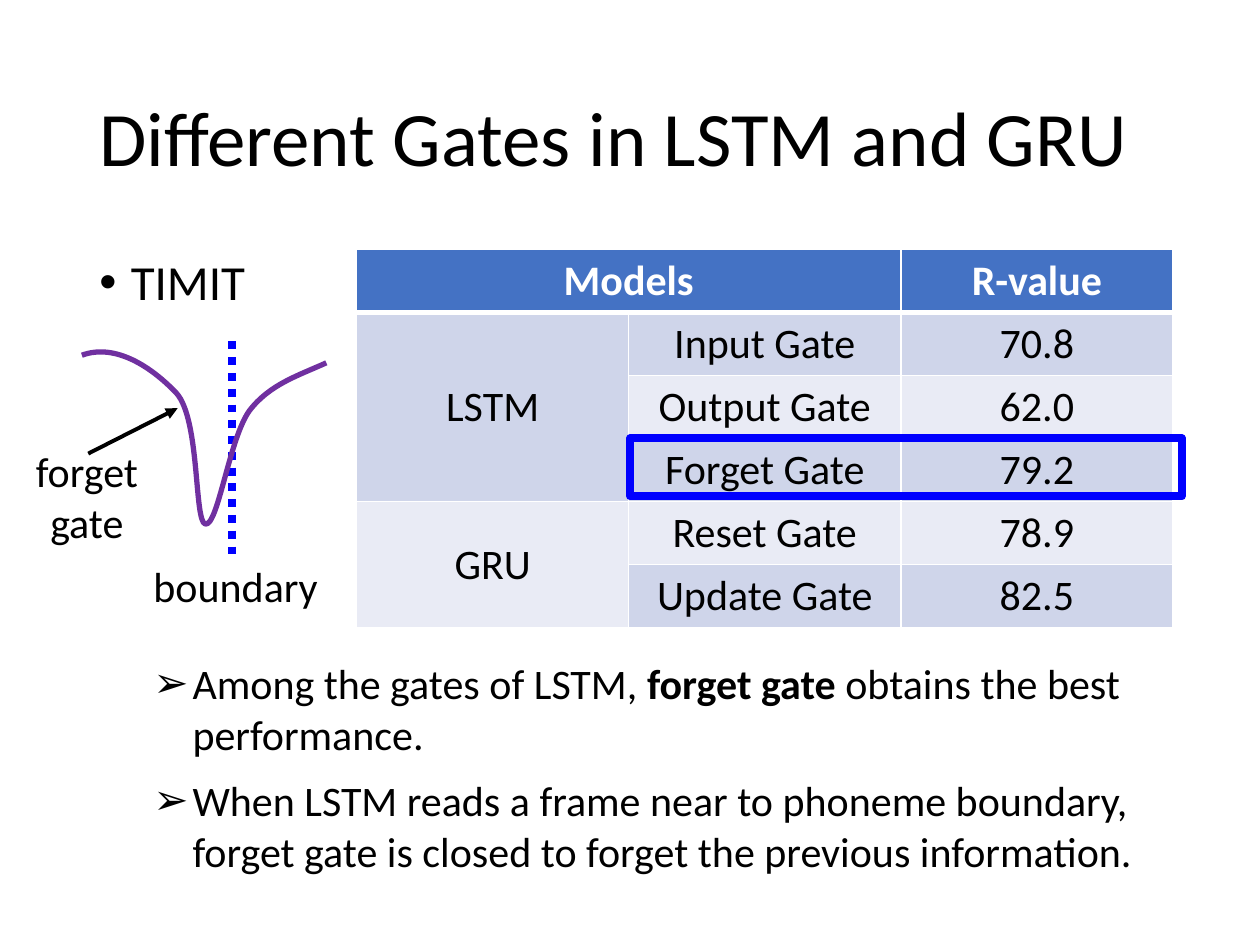
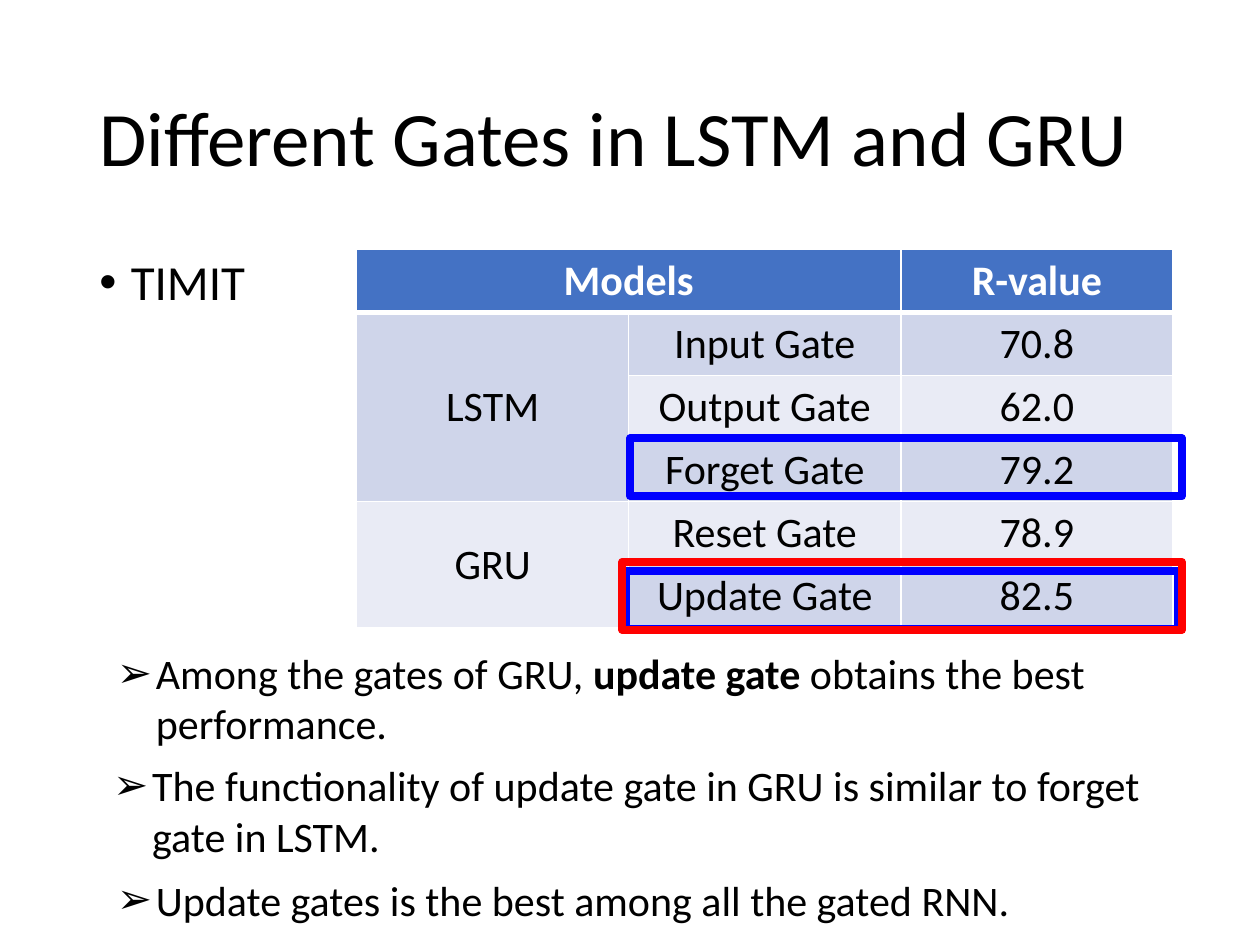
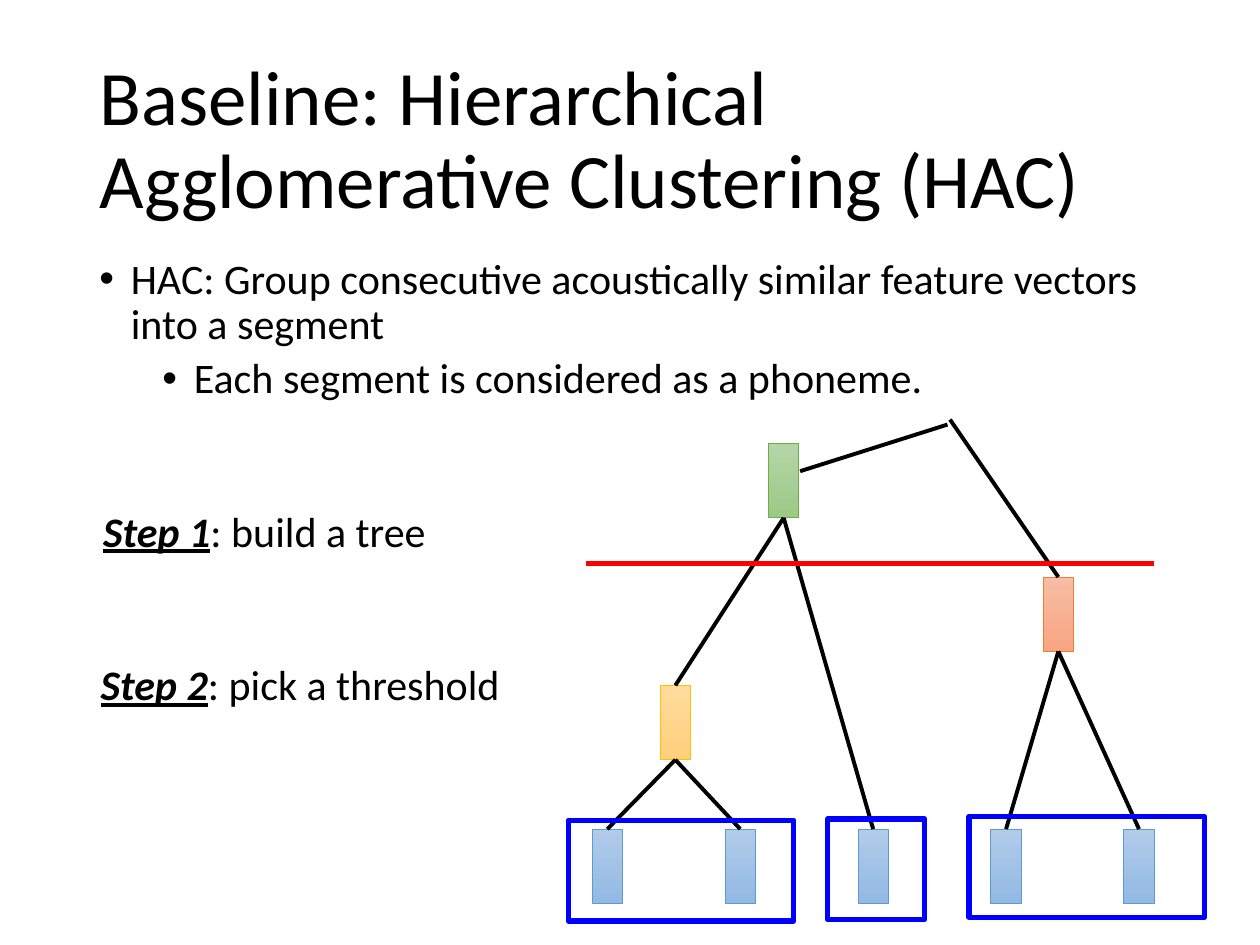
from lxml.etree import SubElement
from pptx import Presentation
from pptx.dml.color import RGBColor
from pptx.enum.dml import MSO_LINE
from pptx.enum.shapes import MSO_CONNECTOR, MSO_SHAPE
from pptx.enum.text import MSO_ANCHOR, MSO_AUTO_SIZE, PP_ALIGN
from pptx.oxml.ns import qn
from pptx.util import Inches, Pt

FONT = "Calibri"
HEX = {
    "black": "000000", "white": "FFFFFF", "blue": "0000FF", "red": "FF0000",
    "purple": "7030A0", "head": "4472C4", "dark": "CFD5EA", "light": "E9EBF5",
}
# node colour: gradient top, gradient bottom, outline
TINTS = {
    "sky": ("B1CBE9", "93B9E4", "5B9BD5"),
    "amber": ("FFDB9E", "FFD07C", "FFC000"),
    "coral": ("F7BDA5", "F8A582", "ED7D31"),
    "green": ("B5D5A7", "9CC987", "70AD47"),
}
BOLD = {"bold": True}
STEP = {"bold": True, "italic": True, "underline": True}
ARROW, DOT = "➢", "•"

TITLE_BOX = (0.69, 0.4, 8.62, 1.45)
BODY_BOX = (0.69, 2, 8.62, 4.76)
GATE_TITLE = "Different Gates in LSTM and GRU"
HAC_TITLE = "Baseline: Hierarchical Agglomerative Clustering (HAC)"

TABLE_BOX = (2.83, 1.98, 6.48, 3)
GATES = [
    ("Models", "", "R-value"),
    ("LSTM", "Input Gate", "70.8"),
    ("", "Output Gate", "62.0"),
    ("", "Forget Gate", "79.2"),
    ("GRU", "Reset Gate", "78.9"),
    ("", "Update Gate", "82.5"),
]
MERGES = [((0, 0), (0, 1)), ((1, 0), (3, 0)), ((4, 0), (5, 0))]

FORGET_BOX = (5, 3.48, 4.38, 0.46)
UPDATE_BOXES = [("blue", (4.97, 4.53, 4.38, 0.46)), ("red", (4.94, 4.46, 4.44, 0.54))]
LSTM_NOTES = [
    ((1.12, 5.17, 8.54, 0.91), ["Among the gates of LSTM, ", ("forget gate ", BOLD),
                                "obtains the best performance."]),
    ((1.12, 6.1, 8.54, 0.91), ["When LSTM reads a frame near to phoneme boundary, "
                               "forget gate is closed to forget the previous information."]),
]
GRU_NOTES = [
    ((0.83, 5.09, 8.54, 0.91), ["Among the gates of GRU, ", ("update gate ", BOLD),
                                "obtains the best performance."]),
    ((0.8, 5.98, 8.54, 0.91), ["The functionality of update gate in GRU is similar "
                               "to forget gate in LSTM."]),
    ((0.83, 6.89, 8.54, 0.5), ["Update gates is the best among all the gated RNN."]),
]
# start point, then two control points and an end point for each bend
CURVE = [
    (0.65, 2.82),
    (0.92, 2.72), (1.21, 2.92), (1.4, 3.12),
    (1.59, 3.33), (1.54, 4.14), (1.63, 4.16),
    (1.73, 4.18), (1.82, 3.48), (1.98, 3.26),
    (2.14, 3.05), (2.37, 2.98), (2.59, 2.88),
]

HAC_TEXT = ["HAC: Group consecutive acoustically similar feature vectors into a segment",
            "Each segment is considered as a phoneme."]
STEPS = [
    ((0.72, 3.96, 3.08, 0.5), [("Step 1", STEP), ": build a tree"]),
    ((0.7, 5.18, 3.71, 0.5), [("Step 2", STEP), ": pick a threshold"]),
]
NODE_W, NODE_H = 0.24, 0.59
LEAF_X, LEAF_Y, LEAF_GAP, LEAVES = 4.7, 6.58, 1.055, 5
NODES = {"amber": (5.24, 5.44), "coral": (8.28, 4.58), "green": (6.1, 3.52)}
LINKS = [(0, "amber"), (1, "amber"), (4, "coral"), (3, "coral"),
         (2, "green"), ("amber", "green")]
SEGMENTS = [(4.51, 6.51, 1.79, 0.8), (7.69, 6.48, 1.87, 0.8), (6.57, 6.5, 0.77, 0.8)]


def rgb(name):
    return RGBColor.from_string(HEX.get(name, name))


def emu(vals):
    return [Inches(v) for v in vals]


def style(font, size, color="black", **more):
    for key, val in {"name": FONT, "size": Pt(size), **more}.items():
        setattr(font, key, val)
    font.color.rgb = rgb(color)


def write(para, runs, size=24, color="black", **more):
    """Add runs, each a string or a (string, format) pair."""
    for part in runs:
        text, extra = (part, {}) if isinstance(part, str) else part
        run = para.add_run()
        run.text = text
        style(run.font, size, color, **more, **extra)


def bullet(para, char, left, hang):
    props = para._p.get_or_add_pPr()
    props.set("marL", str(Inches(left)))
    props.set("indent", str(-Inches(hang)))
    SubElement(props, qn("a:buFont")).set("typeface", "Arial")
    SubElement(props, qn("a:buChar")).set("char", char)


def label(slide, box, lines, align=None, char=None):
    frame = slide.shapes.add_textbox(*emu(box)).text_frame
    frame.word_wrap = True
    frame.auto_size = MSO_AUTO_SIZE.SHAPE_TO_FIT_TEXT
    for i, runs in enumerate(lines):
        para = frame.add_paragraph() if i else frame.paragraphs[0]
        para.alignment = align
        if char:
            bullet(para, char, 0.31, 0.31)
        write(para, runs)


def body(slide, lines, size):
    """Write one bullet per line, each a level deeper than the last."""
    frame = slide.shapes.add_textbox(*emu(BODY_BOX)).text_frame
    frame.word_wrap = True
    for level, text in enumerate(lines):
        para = frame.add_paragraph() if level else frame.paragraphs[0]
        para.level = level
        para.line_spacing = 0.9
        if level:
            para.space_before = Pt(5)
        bullet(para, DOT, 0.25 + level * 0.5, 0.25)
        write(para, [text], size)


def start(deck, title):
    slide = deck.slides.add_slide(deck.slide_layouts[5])
    head = slide.shapes.title
    head.left, head.top, head.width, head.height = emu(TITLE_BOX)
    frame = head.text_frame
    frame.auto_size = MSO_AUTO_SIZE.NONE
    frame.vertical_anchor = MSO_ANCHOR.MIDDLE
    para = frame.paragraphs[0]
    para.alignment, para.line_spacing = PP_ALIGN.LEFT, 0.9
    write(para, [title], 44)
    return slide


def stroke(shape, color, width):
    shape.line.color.rgb = rgb(color)
    shape.line.width = Pt(width)


def frame_box(slide, box, color, width):
    shape = slide.shapes.add_shape(MSO_SHAPE.RECTANGLE, *emu(box))
    shape.shadow.inherit = False
    shape.fill.background()
    stroke(shape, color, width)


def line(slide, a, b, color="black", width=2.25):
    link = slide.shapes.add_connector(MSO_CONNECTOR.STRAIGHT, *emu(a + b))
    stroke(link, color, width)
    SubElement(link.element.spPr, qn("a:effectLst"))
    return link


def borders(cell, base):
    props = cell._tc.get_or_add_tcPr()
    for side, width in {"L": 1, "R": 1, "T": 1, "B": base}.items():
        edge = SubElement(props, qn("a:ln" + side), w=str(Pt(width)))
        fill = SubElement(edge, qn("a:solidFill"))
        SubElement(fill, qn("a:srgbClr"), val=HEX["white"])


def gate_table(slide):
    rows, cols = len(GATES), len(GATES[0])
    table = slide.shapes.add_table(rows, cols, *emu(TABLE_BOX)).table
    for r, row in enumerate(GATES):
        for c, text in enumerate(row):
            cell = table.cell(r, c)
            borders(cell, 1 if r else 3)
            cell.fill.solid()
            cell.fill.fore_color.rgb = rgb(("dark" if r % 2 else "light") if r else "head")
            if r and c == 0:
                cell.vertical_anchor = MSO_ANCHOR.MIDDLE
            para = cell.text_frame.paragraphs[0]
            para.alignment = PP_ALIGN.CENTER
            if text:
                write(para, [text], color="black" if r else "white", bold=not r)
    for first, last in MERGES:
        table.cell(*first).merge(table.cell(*last))


def gate_slide(deck, notes):
    slide = start(deck, GATE_TITLE)
    body(slide, ["TIMIT"], 28)
    gate_table(slide)
    frame_box(slide, FORGET_BOX, "blue", 4.5)
    for box, runs in notes:
        label(slide, box, [runs], char=ARROW)
    return slide


def curve(slide, points):
    """Draw a freeform and turn each three line steps into one cubic bend."""
    first, *rest = [emu(p) for p in points]
    pen = slide.shapes.build_freeform(*first)
    pen.add_line_segments(rest, close=False)
    shape = pen.convert_to_shape()
    shape.shadow.inherit = False
    shape.fill.background()
    stroke(shape, "purple", 3)
    geo = shape.element.find(".//" + qn("a:path"))
    steps = geo.findall(qn("a:lnTo"))
    for i in range(0, len(steps), 3):
        bend = SubElement(geo, qn("a:cubicBezTo"))
        for step in steps[i:i + 3]:
            bend.append(step[0])
            geo.remove(step)


def forget_plot(slide):
    edge = line(slide, (1.84, 2.71), (1.84, 4.41), "blue", 4.5)
    edge.line.dash_style = MSO_LINE.ROUND_DOT
    label(slide, (1.12, 4.4, 1.57, 0.5), [["boundary"]])
    curve(slide, CURVE)
    label(slide, (0.14, 3.49, 1.1, 0.91), [["forget"], ["gate"]], PP_ALIGN.CENTER)
    arrow = line(slide, (0.7, 3.6), (1.41, 3.24))
    SubElement(arrow.line._get_or_add_ln(), qn("a:tailEnd"), type="triangle")


def node(slide, spot, tint):
    top, low, edge = TINTS[tint]
    shape = slide.shapes.add_shape(MSO_SHAPE.RECTANGLE, *emu((*spot, NODE_W, NODE_H)))
    shape.shadow.inherit = False
    shape.fill.gradient()
    shape.fill.gradient_angle = 270
    for stop, color in zip(shape.fill.gradient_stops, (top, low)):
        stop.color.rgb = rgb(color)
    stroke(shape, edge, 0.5)
    return shape


def tree(slide):
    nodes = {i: node(slide, (LEAF_X + i * LEAF_GAP, LEAF_Y), "sky") for i in range(LEAVES)}
    nodes.update({name: node(slide, spot, name) for name, spot in NODES.items()})
    for child, parent in LINKS:
        link = line(slide, (0, 0), (1, 1))
        link.begin_connect(nodes[child], 0)
        link.end_connect(nodes[parent], 2)
    link = line(slide, (8.4, 4.58), (7.54, 3.33))
    link.begin_connect(nodes["coral"], 0)
    line(slide, (7.52, 3.37), (6.35, 3.74))
    line(slide, (9.16, 4.47), (4.65, 4.47), "red", 3)
    for box in SEGMENTS:
        frame_box(slide, box, "blue", 3)


def main():
    deck = Presentation()
    deck.slide_width, deck.slide_height = emu((10, 7.5))

    forget_plot(gate_slide(deck, LSTM_NOTES))

    slide = gate_slide(deck, GRU_NOTES)
    for color, box in UPDATE_BOXES:
        frame_box(slide, box, color, 4.5)

    slide = start(deck, HAC_TITLE)
    body(slide, HAC_TEXT, 24)
    for box, runs in STEPS:
        label(slide, box, [runs])
    tree(slide)

    deck.save("out.pptx")


if __name__ == "__main__":
    main()
